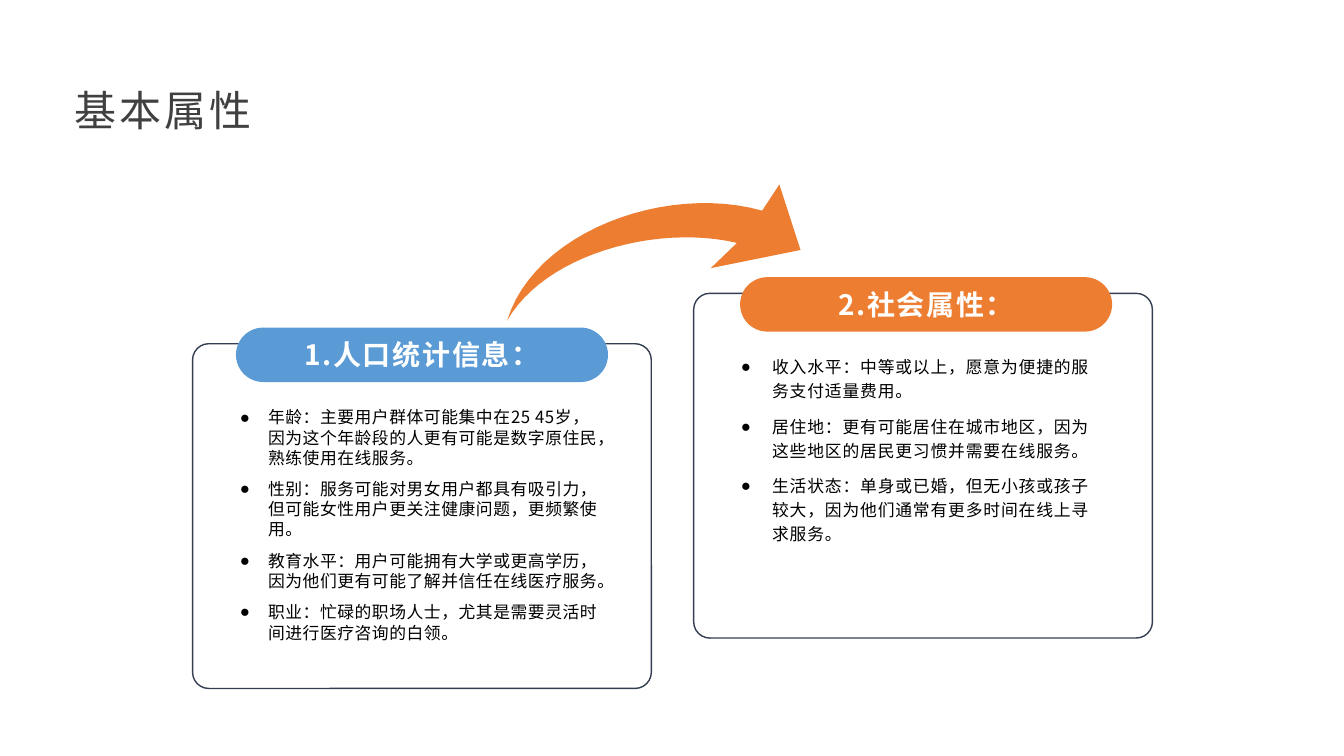
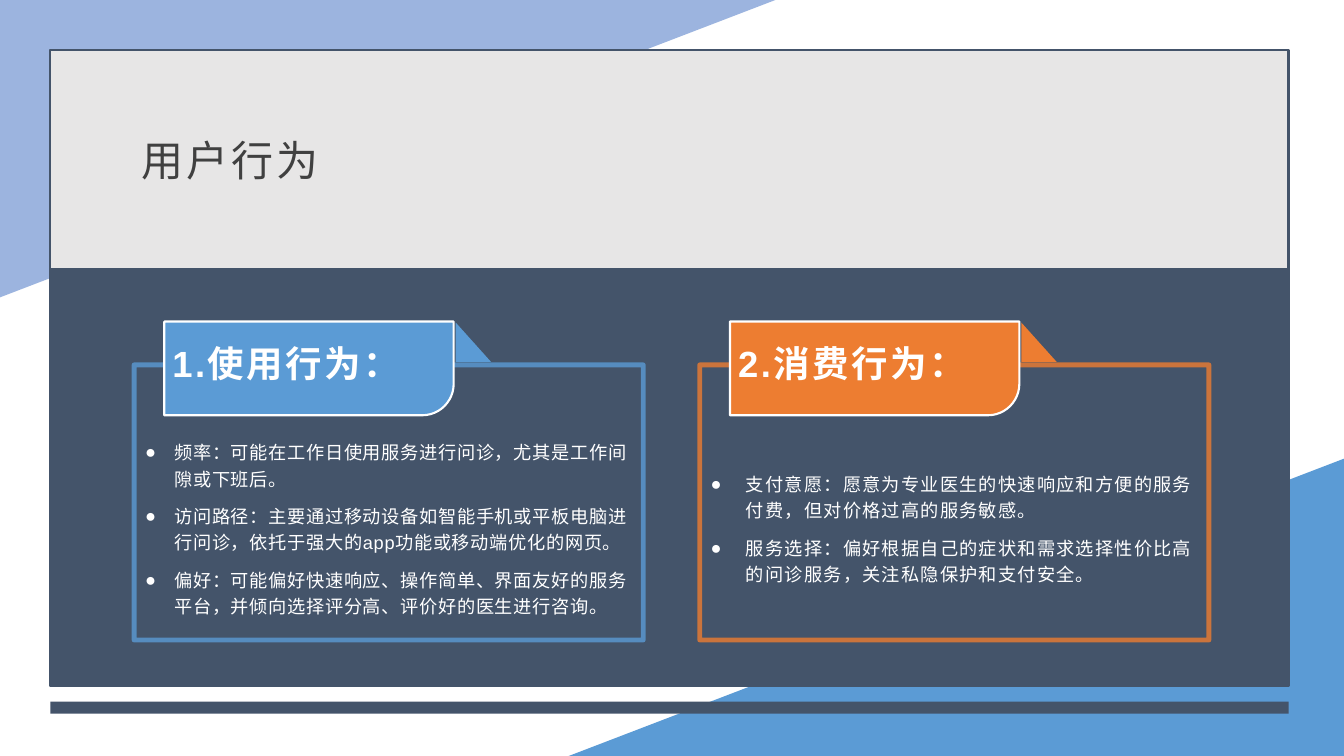
from lxml.etree import SubElement
from pptx import Presentation
from pptx.dml.color import RGBColor
from pptx.enum.shapes import MSO_SHAPE as SHAPE
from pptx.enum.text import MSO_ANCHOR as ANCHOR, MSO_AUTO_SIZE as AUTO, PP_ALIGN as ALIGN
from pptx.oxml.ns import qn
from pptx.util import Inches, Pt

WHITE = RGBColor(0xFF, 0xFF, 0xFF)
BLACK = RGBColor(0x00, 0x00, 0x00)
CHARCOAL = RGBColor(0x40, 0x40, 0x40)
NAVY = RGBColor(0x33, 0x3F, 0x50)
SLATE = RGBColor(0x44, 0x54, 0x6A)
PALE = RGBColor(0xE7, 0xE6, 0xE6)
ROYAL = RGBColor(0x44, 0x72, 0xC4)
BLUE = RGBColor(0x5B, 0x9B, 0xD5)
ORANGE = RGBColor(0xED, 0x7D, 0x31)
SANS = "Noto Sans CJK SC"
ARIAL = "Arial"


def style(sp, fill=None, line=None, width=1, alpha=None):
    """Set the fill, outline and opacity of a shape."""
    sp.shadow.inherit = False
    if fill is None:
        sp.fill.background()
    else:
        sp.fill.solid()
        sp.fill.fore_color.rgb = fill
    if line is None:
        sp.line.fill.background()
    else:
        sp.line.color.rgb = line
        sp.line.width = Pt(width)
    if alpha is not None:
        for clr in sp.element.iter(qn("a:srgbClr")):
            SubElement(clr, qn("a:alpha")).set("val", str(alpha * 1000))
    return sp


def add_box(s, kind, x, y, w, h, adj=None, **look):
    """Add a styled preset shape."""
    sp = s.shapes.add_shape(kind, Inches(x), Inches(y), Inches(w), Inches(h))
    if adj is not None:
        sp.adjustments[0] = adj
    return style(sp, **look)


def add_outline(s, points, **look):
    """Add a styled closed outline through points given in inches."""
    pts = [(Inches(x), Inches(y)) for x, y in points]
    fb = s.shapes.build_freeform(*pts[0], scale=1.0)
    fb.add_line_segments(pts[1:], close=True)
    return style(fb.convert_to_shape(), **look)


def bezier(p0, p1, p2, p3, steps=24):
    """Return points along a cubic curve."""
    ts = [i / steps for i in range(steps + 1)]
    return [tuple(a * (1 - t) ** 3 + 3 * b * t * (1 - t) ** 2
                  + 3 * c * t * t * (1 - t) + d * t ** 3
                  for a, b, c, d in zip(p0, p1, p2, p3)) for t in ts]


def write(sp, paras, size, color, font=SANS, bold=False, spc=0, align=ALIGN.LEFT,
          anchor=ANCHOR.MIDDLE, ins=(0.1, 0.05, 0.1, 0.05), indent=None,
          spacing=None, after=0):
    """Fill a shape with formatted paragraphs, bulleted when indent is given."""
    tf = sp.text_frame
    tf.word_wrap, tf.auto_size, tf.vertical_anchor = True, AUTO.NONE, anchor
    tf.margin_left, tf.margin_top, tf.margin_right, tf.margin_bottom = map(Inches, ins)
    for i, text in enumerate(paras):
        p = tf.paragraphs[0] if i == 0 else tf.add_paragraph()
        p.alignment, p.space_before, p.space_after = align, Pt(0), Pt(after)
        if spacing:
            p.line_spacing = spacing
        if indent:
            pPr = p._p.get_or_add_pPr()
            pPr.set("marL", str(Inches(indent)))
            pPr.set("indent", str(-Inches(indent)))
            SubElement(pPr, qn("a:buFont")).set("typeface", ARIAL)
            SubElement(pPr, qn("a:buChar")).set("char", "●")
        r = p.add_run()
        r.text = text
        r.font.size, r.font.bold, r.font.name = Pt(size), bold, font
        r.font.color.rgb = color
        rPr = r._r.get_or_add_rPr()
        rPr.set("spc", str(round(spc * 100)))
        rPr.find(qn("a:latin")).addnext(rPr.makeelement(qn("a:ea"), {"typeface": SANS}))


def add_text(s, x, y, w, h, paras, **fmt):
    """Add a text box with formatted paragraphs."""
    write(s.shapes.add_textbox(Inches(x), Inches(y), Inches(w), Inches(h)), paras, **fmt)


def set_title(s, text, x, y, w, h):
    """Place the title placeholder in front of what is already drawn."""
    sp = s.shapes.title
    sp.left, sp.top, sp.width, sp.height = map(Inches, (x, y, w, h))
    sp.element.getparent().append(sp.element)
    write(sp, [text], size=30, color=CHARCOAL, spc=2.2, after=8,
          ins=(0.07, 0.03, 0.07, 0.03))


def add_card(s, x, y, color, heading, items, pill_dx, text_dy, **fmt):
    """Draw a rounded card with a pill heading and a bullet list."""
    add_box(s, SHAPE.ROUNDED_RECTANGLE, x, y, 4.55, 3.42, adj=0.047, line=NAVY)
    pill = add_box(s, SHAPE.ROUNDED_RECTANGLE, x + pill_dx, y - 0.16, 3.69, 0.54,
                   adj=0.5, fill=color)
    write(pill, [heading], size=20, color=WHITE, bold=True, spc=1.2, align=ALIGN.CENTER)
    add_text(s, x + 0.37, y + text_dy, 3.81, 2.56, items, size=12, color=BLACK, after=8,
             anchor=ANCHOR.TOP, ins=(0.1, 0, 0.1, 0.05), **fmt)


def add_swoosh(s, x, y, color):
    """Draw the curved arrow in the box whose top left corner is given."""
    tail = (0, 1.35)
    inner = bezier(tail, (0.37, 0.7), (1.47, 0.39), (2.28, 0.58))
    head = [(2.02, 0.83), (2.91, 0.65), (2.7, 0)]
    outer = bezier(tail, (0.27, 0.47), (1.57, -0.01), (2.53, 0.26))
    points = inner + head + outer[:0:-1]
    add_outline(s, [(x + dx, y + dy) for dx, dy in points], fill=color)


def add_tab(s, x, y, w, h, color, heading):
    """Draw a folded tab with one rounded corner and its heading."""
    rad, k = 0.31, 0.14
    r, b = x + w, y + h
    corner = bezier((r, b - rad), (r, b - k), (r - k, b), (r - rad, b), 12)
    tab = add_outline(s, [(x, y), (r, y), *corner, (x, b)],
                      fill=color, line=WHITE, width=1.5)
    write(tab, [heading], size=26, color=WHITE, font=ARIAL, bold=True, spc=1.8,
          ins=(0.08, 0.05, 0.1, 0.16))
    add_box(s, SHAPE.RIGHT_TRIANGLE, r + 0.02, y + 0.01, 0.35, 0.39, fill=color)


def add_panel(s, x, y, color, heading, items, **fmt):
    """Draw a framed panel with a tab heading and a bullet list."""
    add_box(s, SHAPE.RECTANGLE, x, y, 5.05, 2.73, line=color, width=3.5, alpha=80)
    add_tab(s, x + 0.3, y - 0.43, 2.87, 0.93, color, heading)
    add_text(s, x + 0.01, y + 0.49, 5.05, 2.24, items, size=13, color=WHITE, font=ARIAL,
             spacing=1.2, after=8, **fmt)


def add_backdrop(s, w, h):
    """Draw the corner triangles, the title band and the dark body."""
    tw, th = 7.69, 2.95
    add_outline(s, [(w, h - th), (w, h), (w - tw, h)], fill=BLUE)
    add_outline(s, [(0, 0), (tw, 0), (0, th)], fill=ROYAL, alpha=53)
    add_box(s, SHAPE.RECTANGLE, 0.5, 6.96, 12.28, 0.12, fill=SLATE)
    for y, height, fill in ((0.5, 2.17, PALE), (2.67, 4.14, SLATE)):
        add_box(s, SHAPE.RECTANGLE, 0.5, y, 12.28, height, fill=fill, line=SLATE, width=1.5)


def attributes_slide(s):
    """Build the slide of basic attributes."""
    set_title(s, "基本属性", 0.67, 0.67, 12, 0.83)
    add_card(s, 6.88, 2.91, ORANGE, "2.社会属性：", [
        "收入水平：中等或以上，愿意为便捷的服务支付适量费用。",
        "居住地：更有可能居住在城市地区，因为这些地区的居民更习惯并需要在线服务。",
        "生活状态：单身或已婚，但无小孩或孩子较大，因为他们通常有更多时间在线上寻求服务。",
    ], pill_dx=0.46, text_dy=0.59, indent=0.31, spacing=1.2, spc=0.6)
    add_swoosh(s, 5.03, 1.83, ORANGE)
    add_card(s, 1.91, 3.41, BLUE, "1.人口统计信息：", [
        "年龄：主要用户群体可能集中在25 45岁，因为这个年龄段的人更有可能是数字原住民，熟练使用在线服务。",
        "性别：服务可能对男女用户都具有吸引力，但可能女性用户更关注健康问题，更频繁使用。",
        "教育水平：用户可能拥有大学或更高学历，因为他们更有可能了解并信任在线医疗服务。",
        "职业：忙碌的职场人士，尤其是需要灵活时间进行医疗咨询的白领。",
    ], pill_dx=0.43, text_dy=0.63, indent=0.28, spc=0.4)


def behaviour_slide(s):
    """Build the slide of user behaviour."""
    add_backdrop(s, 13.33, 7.5)
    set_title(s, "用户行为", 1.33, 0.83, 10.67, 1.5)
    add_panel(s, 1.33, 3.62, BLUE, "1.使用行为：", [
        "频率：可能在工作日使用服务进行问诊，尤其是工作间隙或下班后。",
        "访问路径：主要通过移动设备如智能手机或平板电脑进行问诊，依托于强大的app功能或移动端优化的网页。",
        "偏好：可能偏好快速响应、操作简单、界面友好的服务平台，并倾向选择评分高、评价好的医生进行咨询。",
    ], indent=0.29, spc=0.5)
    add_panel(s, 6.94, 3.62, ORANGE, "2.消费行为：", [
        "支付意愿：愿意为专业医生的快速响应和方便的服务付费，但对价格过高的服务敏感。",
        "服务选择：偏好根据自己的症状和需求选择性价比高的问诊服务，关注私隐保护和支付安全。",
    ], indent=0.35, spc=0.9)


def main():
    """Build and save the deck."""
    prs = Presentation()
    prs.slide_width, prs.slide_height = Inches(13.33), Inches(7.5)
    for build in (attributes_slide, behaviour_slide):
        build(prs.slides.add_slide(prs.slide_layouts[5]))
    prs.save("out.pptx")


if __name__ == "__main__":
    main()
